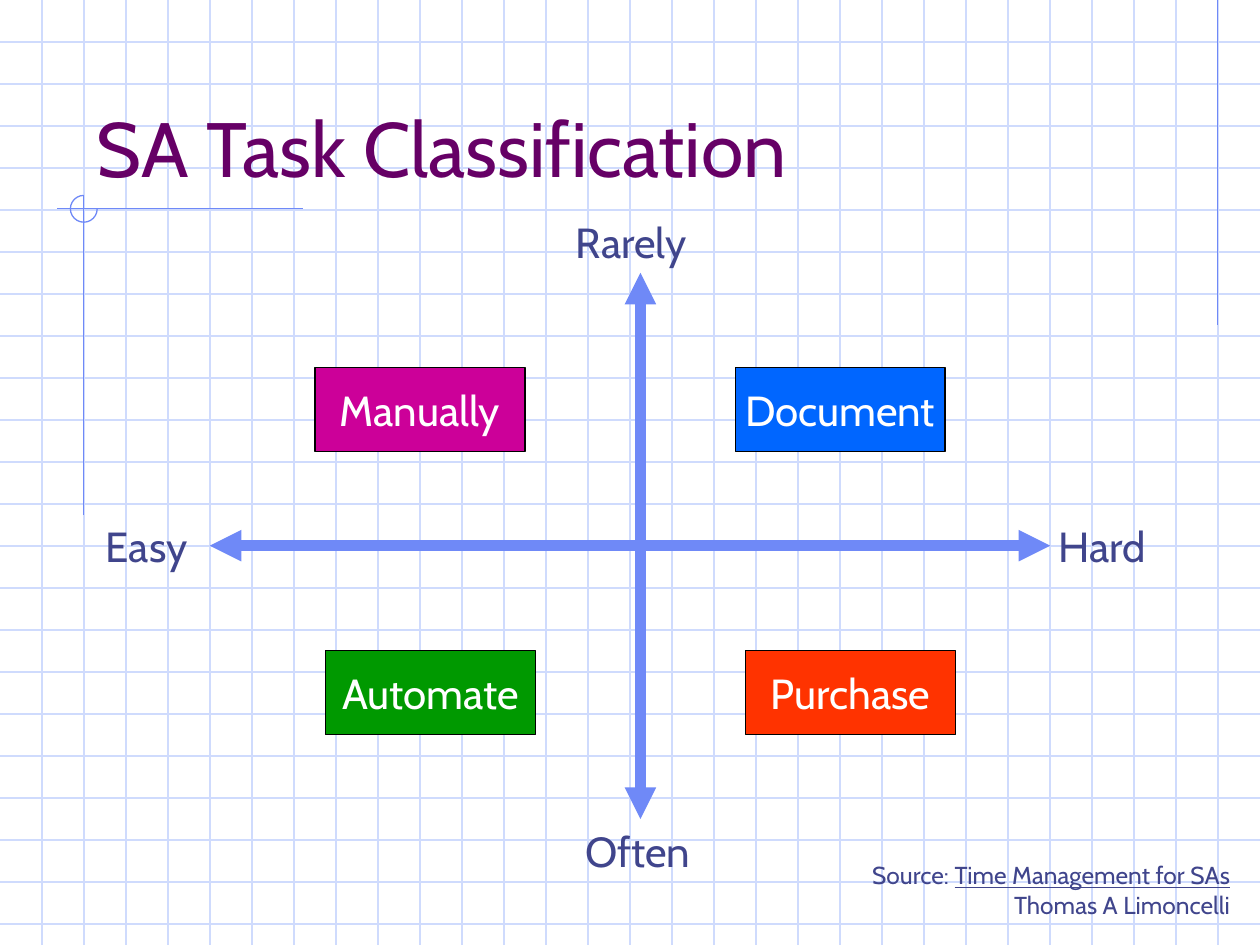
"""Build the SA task classification slide: four quadrants on squared paper."""
from dataclasses import dataclass

from lxml.etree import SubElement
from pptx import Presentation
from pptx.dml.color import RGBColor
from pptx.enum.shapes import MSO_CONNECTOR, MSO_SHAPE
from pptx.enum.text import MSO_ANCHOR, MSO_AUTO_SIZE, PP_ALIGN
from pptx.oxml.ns import qn
from pptx.util import Cm, Pt


@dataclass(frozen=True)
class Theme:
    font: str = "Cabin"
    title: str = "660066"
    text: str = "40458C"
    grid: str = "CFDBFD"
    accent: str = "6F89F7"
    border: str = "000000"
    on_fill: str = "FFFFFF"
    title_size: int = 44
    label_size: int = 24
    source_size: int = 14
    thin: float = 0.75
    thick: float = 6


THEME = Theme()
WIDTH, HEIGHT = 25.4, 19.05
STEP = WIDTH / 30
BOX_SIZE = (5 * STEP, 2 * STEP)

TITLE = "SA Task Classification"
ORNAMENTS = [
    (24.55, 0, 24.55, 6.56),
    (6.1, 4.21, 1.15, 4.21),
    (1.69, 3.94, 1.69, 10.39),
]
RING = (1.42, 3.94, 0.54, 0.54)
AXES = [(12.91, 16.51, 12.91, 5.5), (4.23, 11, 21.17, 11)]
LABELS = [
    ("Easy", 1.88, 10.37, 2.29),
    ("Hard", 21.09, 10.37, 2.46),
    ("Rarely", 11.36, 4.23, 2.97),
    ("Often", 11.55, 16.51, 2.78),
]
TASKS = [
    ("Manually", 6.35, 7.41, "CC0099"),
    ("Document", 14.82, 7.41, "0066FF"),
    ("Automate", 6.56, 13.12, "009900"),
    ("Purchase", 15.03, 13.12, "FF3300"),
]
SOURCE = [
    [("Source: ", False), ("Time Management for SAs", True)],
    [("Thomas A Limoncelli", False)],
]
SOURCE_AREA = (16.54, 17.22, 8.51, 1.45)


def cm(*values):
    return [Cm(v) for v in values]


def add_line(s, ends, color, width, arrows=False):
    line = s.shapes.add_connector(MSO_CONNECTOR.STRAIGHT, *cm(*ends))
    line.line.color.rgb = RGBColor.from_string(color)
    line.line.width = Pt(width)
    if arrows:
        ln = line.line._get_or_add_ln()
        for end in ("a:headEnd", "a:tailEnd"):
            SubElement(ln, qn(end), type="triangle")
    SubElement(line._element.spPr, qn("a:effectLst"))


def add_run(p, text, size, color, underline=False):
    r = p.add_run()
    r.text = text
    r.font.name = THEME.font
    r.font.size = Pt(size)
    r.font.color.rgb = RGBColor.from_string(color)
    if underline:
        r.font.underline = True


def add_text(s, area, lines, size, align=PP_ALIGN.LEFT):
    tf = s.shapes.add_textbox(*cm(*area)).text_frame
    tf.word_wrap = False
    tf.auto_size = MSO_AUTO_SIZE.SHAPE_TO_FIT_TEXT
    for i, runs in enumerate(lines):
        p = tf.add_paragraph() if i else tf.paragraphs[0]
        p.alignment = align
        for text, underline in runs:
            add_run(p, text, size, THEME.text, underline)


def add_background(s):
    for i in range(1, int(HEIGHT / STEP) + 1):
        add_line(s, (0, i * STEP, WIDTH, i * STEP), THEME.grid, THEME.thin)
    for i in range(1, 30):
        add_line(s, (i * STEP, 0, i * STEP, HEIGHT), THEME.grid, THEME.thin)
    for ends in ORNAMENTS:
        add_line(s, ends, THEME.accent, THEME.thin)
    ring = s.shapes.add_shape(MSO_SHAPE.ARC, *cm(*RING))
    ring.adjustments[0] = 0
    ring.adjustments[1] = 162
    ring.shadow.inherit = False
    ring.fill.background()
    ring.line.color.rgb = RGBColor.from_string(THEME.accent)
    ring.line.width = Pt(THEME.thin)


def add_title(s):
    title = s.shapes.title
    title.left, title.top, title.width, title.height = cm(1.69, 0.85, 21.59, 3.17)
    title.element.getparent().append(title.element)
    tf = title.text_frame
    tf.auto_size = MSO_AUTO_SIZE.NONE
    tf.vertical_anchor = MSO_ANCHOR.BOTTOM
    p = tf.paragraphs[0]
    p.alignment = PP_ALIGN.LEFT
    add_run(p, TITLE, THEME.title_size, THEME.title)


def add_task(s, name, left, top, color):
    sp = s.shapes.add_shape(MSO_SHAPE.RECTANGLE, *cm(left, top, *BOX_SIZE))
    sp.shadow.inherit = False
    sp.fill.solid()
    sp.fill.fore_color.rgb = RGBColor.from_string(color)
    sp.line.color.rgb = RGBColor.from_string(THEME.border)
    sp.line.width = Pt(THEME.thin)
    tf = sp.text_frame
    tf.word_wrap = False
    tf.vertical_anchor = MSO_ANCHOR.MIDDLE
    p = tf.paragraphs[0]
    p.alignment = PP_ALIGN.CENTER
    add_run(p, name, THEME.label_size, THEME.on_fill)


def main():
    prs = Presentation()
    prs.slide_width, prs.slide_height = cm(WIDTH, HEIGHT)
    s = prs.slides.add_slide(prs.slide_layouts[5])
    add_background(s)
    add_title(s)
    for ends in AXES:
        add_line(s, ends, THEME.accent, THEME.thick, arrows=True)
    for text, left, top, width in LABELS:
        add_text(s, (left, top, width, 1.27), [[(text, False)]], THEME.label_size)
    for task in TASKS:
        add_task(s, *task)
    add_text(s, SOURCE_AREA, SOURCE, THEME.source_size, PP_ALIGN.RIGHT)
    prs.save("out.pptx")


if __name__ == "__main__":
    main()
